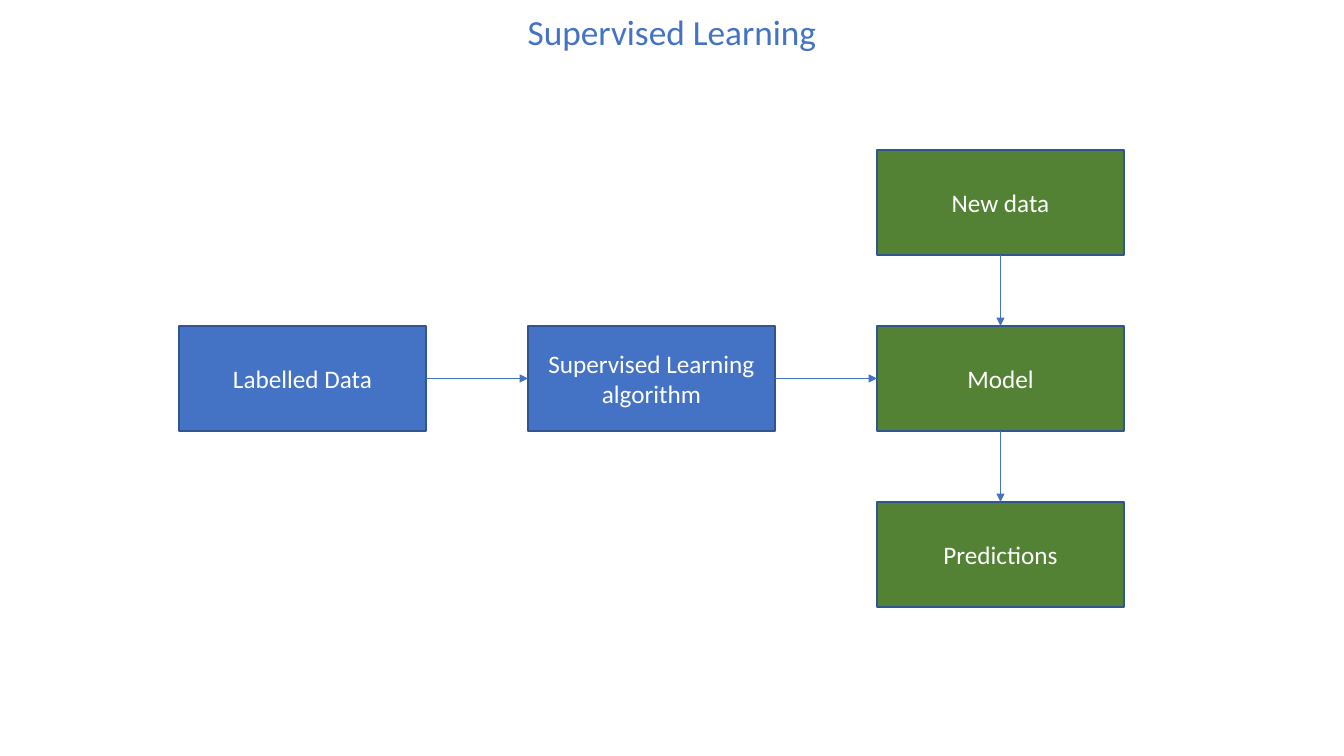
from dataclasses import dataclass

from lxml import etree
from pptx import Presentation
from pptx.dml.color import RGBColor
from pptx.enum.shapes import MSO_CONNECTOR, MSO_SHAPE
from pptx.enum.text import MSO_ANCHOR, MSO_AUTO_SIZE, PP_ALIGN
from pptx.oxml.ns import qn
from pptx.shapes.autoshape import Shape
from pptx.slide import Slide
from pptx.text.text import TextFrame
from pptx.util import Emu, Pt

RECTANGLE = MSO_SHAPE.RECTANGLE
STRAIGHT = MSO_CONNECTOR.STRAIGHT
CENTER = PP_ALIGN.CENTER
MIDDLE = MSO_ANCHOR.MIDDLE
BOTTOM = MSO_ANCHOR.BOTTOM
NO_AUTOFIT = MSO_AUTO_SIZE.NONE

EMU_PER_PX = 914400 / 100.8
FONT = "Calibri"
BLUE, GREEN, OUTLINE, WHITE = "4472C4", "548235", "325491", "FFFFFF"
TOP, LEFT, BOTTOM_SIDE, RIGHT = range(4)

STEP_WIDTH, STEP_HEIGHT = 247, 105
FIRST_COLUMN, COLUMN_PITCH = 179, 349
FIRST_ROW, ROW_PITCH = 150, 176


@dataclass(frozen=True)
class Step:
    label: str
    column: int
    row: int
    fill: str


@dataclass(frozen=True)
class Flow:
    source: str
    source_side: int
    target: str
    target_side: int


STEPS = [
    Step("Labelled Data", 0, 1, BLUE),
    Step("Supervised Learning algorithm", 1, 1, BLUE),
    Step("Model", 2, 1, GREEN),
    Step("New data", 2, 0, GREEN),
    Step("Predictions", 2, 2, GREEN),
]
FLOWS = [
    Flow("Labelled Data", RIGHT, "Supervised Learning algorithm", LEFT),
    Flow("Supervised Learning algorithm", RIGHT, "Model", LEFT),
    Flow("New data", BOTTOM_SIDE, "Model", TOP),
    Flow("Model", BOTTOM_SIDE, "Predictions", TOP),
]


def px(length: int) -> Emu:
    return Emu(round(length * EMU_PER_PX))


def rgb(colour: str) -> RGBColor:
    return RGBColor.from_string(colour)


def write_text(frame: TextFrame, text: str, size: float, colour: str) -> None:
    frame.word_wrap = True
    paragraph = frame.paragraphs[0]
    paragraph.alignment = CENTER
    run = paragraph.add_run()
    run.text = text
    run.font.name = FONT
    run.font.size = Pt(size)
    run.font.color.rgb = rgb(colour)


def add_heading(slide: Slide, text: str) -> None:
    heading = slide.shapes.title
    heading.left, heading.top = px(168), px(15)
    heading.width, heading.height = px(1008), px(43)
    frame = heading.text_frame
    frame.auto_size = NO_AUTOFIT
    frame.vertical_anchor = BOTTOM
    write_text(frame, text, 25.2, BLUE)
    frame.paragraphs[0].line_spacing = 0.9


def draw_step(slide: Slide, step: Step) -> Shape:
    box = slide.shapes.add_shape(
        RECTANGLE,
        px(FIRST_COLUMN + step.column * COLUMN_PITCH),
        px(FIRST_ROW + step.row * ROW_PITCH),
        px(STEP_WIDTH),
        px(STEP_HEIGHT),
    )
    box.shadow.inherit = False
    box.fill.solid()
    box.fill.fore_color.rgb = rgb(step.fill)
    box.line.color.rgb = rgb(OUTLINE)
    box.line.width = Pt(1)
    box.text_frame.vertical_anchor = MIDDLE
    write_text(box.text_frame, step.label, 18, WHITE)
    return box


def draw_flow(slide: Slide, flow: Flow, boxes: dict[str, Shape]) -> None:
    arrow = slide.shapes.add_connector(STRAIGHT, 0, 0, 0, 0)
    arrow.begin_connect(boxes[flow.source], flow.source_side)
    arrow.end_connect(boxes[flow.target], flow.target_side)
    arrow.line.color.rgb = rgb(BLUE)
    arrow.line.width = Pt(0.5)
    etree.SubElement(arrow.line._get_or_add_ln(), qn("a:tailEnd"), type="triangle")
    etree.SubElement(arrow._element.spPr, qn("a:effectLst"))


def main() -> None:
    presentation = Presentation()
    presentation.slide_width, presentation.slide_height = px(1344), px(756)
    slide = presentation.slides.add_slide(presentation.slide_layouts[0])
    subtitle = slide.placeholders[1].element
    subtitle.getparent().remove(subtitle)

    add_heading(slide, "Supervised Learning")
    boxes = {step.label: draw_step(slide, step) for step in STEPS}
    for flow in FLOWS:
        draw_flow(slide, flow, boxes)

    presentation.save("out.pptx")


if __name__ == "__main__":
    main()
